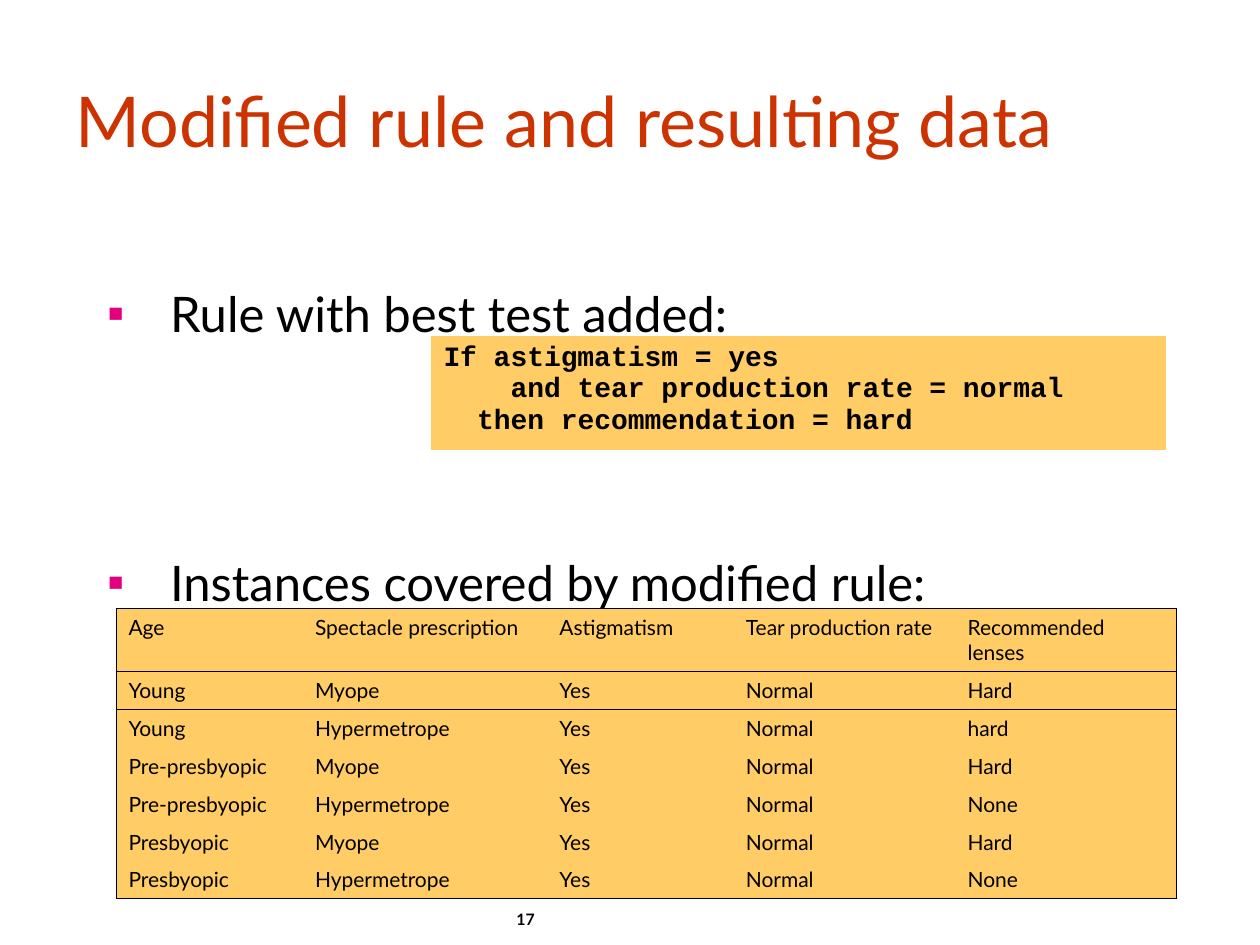
from lxml.etree import SubElement
from pptx import Presentation
from pptx.dml.color import RGBColor
from pptx.enum.text import MSO_ANCHOR, MSO_AUTO_SIZE, PP_ALIGN
from pptx.oxml.ns import qn
from pptx.util import Inches, Pt

TITLE = "Modified rule and resulting data"
POINTS = [("Rule with best test added:", 0), ("Instances covered by modified rule:", 120)]
RULE = [
    ("If astigmatism = yes", 0),
    ("and tear production rate = normal", 4),
    ("then recommendation = hard", 2),
]
INSTANCES = [
    ("Age", "Spectacle prescription", "Astigmatism", "Tear production rate", "Recommended lenses"),
    ("Young", "Myope", "Yes", "Normal", "Hard"),
    ("Young", "Hypermetrope", "Yes", "Normal", "hard"),
    ("Pre-presbyopic", "Myope", "Yes", "Normal", "Hard"),
    ("Pre-presbyopic", "Hypermetrope", "Yes", "Normal", "None"),
    ("Presbyopic", "Myope", "Yes", "Normal", "Hard"),
    ("Presbyopic", "Hypermetrope", "Yes", "Normal", "None"),
]
PAGE_NUMBER = "17"

RED = RGBColor(0xCC, 0x33, 0x00)
BLACK = RGBColor(0x00, 0x00, 0x00)
AMBER = RGBColor(0xFF, 0xCC, 0x66)
PINK = RGBColor(0xE2, 0x00, 0x7F)
SANS, MONO = "Lato", "Courier New"
CODE_SIZE = 16
CODE_CHAR = 0.6 * CODE_SIZE / 72
NO_STYLE = "{2D5ABB26-0587-4C30-8999-92F81FD0307C}"


def write(frame, text, size, font=SANS, color=BLACK, bold=False, first=True,
          before=0, spacing=1.0, indent=0, hanging=0, bullet=None):
    paragraph = frame.paragraphs[0] if first else frame.add_paragraph()
    paragraph.alignment = PP_ALIGN.LEFT
    paragraph.space_before = Pt(before)
    paragraph.line_spacing = spacing
    run = paragraph.add_run()
    run.text = text
    run.font.size, run.font.name, run.font.bold = Pt(size), font, bold
    run.font.color.rgb = color
    props = paragraph._p.get_or_add_pPr()
    props.set("marL", str(Inches(indent)))
    props.set("indent", str(Inches(-hanging)))
    if bullet:
        bullet_color = SubElement(props, qn("a:buClr"))
        SubElement(bullet_color, qn("a:srgbClr"), val=str(PINK))
        SubElement(props, qn("a:buChar"), char=bullet)


def place(shape, left, top, width, height):
    shape.left, shape.top = Inches(left), Inches(top)
    shape.width, shape.height = Inches(width), Inches(height)
    shape.text_frame.word_wrap = True
    shape.text_frame.auto_size = MSO_AUTO_SIZE.NONE
    return shape.text_frame


def add_plain_table(slide, left, top, widths, heights):
    table = slide.shapes.add_table(
        len(heights), len(widths), Inches(left), Inches(top),
        Inches(sum(widths)), Inches(sum(heights))).table
    table.first_row = table.horz_banding = False
    table._tbl.tblPr.find(qn("a:tableStyleId")).text = NO_STYLE
    for column, width in zip(table.columns, widths):
        column.width = Inches(width)
    for row, height in zip(table.rows, heights):
        row.height = Inches(height)
    return table


def fill_cell(cell, sides=()):
    props = cell._tc.get_or_add_tcPr()
    for side in sides:
        line = SubElement(props, qn(f"a:ln{side}"), w=str(Pt(0.45)))
        line_fill = SubElement(line, qn("a:solidFill"))
        SubElement(line_fill, qn("a:srgbClr"), val=str(BLACK))
    cell.fill.solid()
    cell.fill.fore_color.rgb = AMBER


def main():
    deck = Presentation()
    deck.slide_width, deck.slide_height = Inches(10), Inches(7.5)
    slide = deck.slides.add_slide(deck.slide_layouts[1])

    title = place(slide.shapes.title, 0.5, 0.25, 9.08, 1.5)
    title.vertical_anchor = MSO_ANCHOR.MIDDLE
    write(title, TITLE, 40, color=RED, spacing=0.85)

    body = place(slide.placeholders[1], 0.75, 2.2, 8.25, 4.28)
    for i, (point, gap) in enumerate(POINTS):
        write(body, point, 28, first=i == 0, before=gap,
              indent=0.5, hanging=0.5, bullet="▪")

    page = place(slide.shapes.add_textbox(0, 0, 0, 0), 4, 7.17, 1.02, 0.33)
    write(page, PAGE_NUMBER, 9, bold=True)

    last_row, last_col = len(INSTANCES) - 1, len(INSTANCES[0]) - 1
    instances = add_plain_table(slide, 0.92, 4.83, [1.48, 1.94, 1.48, 1.76, 1.76],
                                [0.5] + [0.3] * last_row)
    for r, record in enumerate(INSTANCES):
        for c, value in enumerate(record):
            edges = {"L": c == 0, "R": c == last_col, "T": r <= 1, "B": r in (0, last_row)}
            cell = instances.cell(r, c)
            fill_cell(cell, [side for side, drawn in edges.items() if drawn])
            write(cell.text_frame, value, 12)

    rule = add_plain_table(slide, 3.42, 2.67, [5.83], [0.9]).cell(0, 0)
    fill_cell(rule)
    for i, (line, depth) in enumerate(RULE):
        write(rule.text_frame, line, CODE_SIZE, font=MONO, bold=True,
              first=i == 0, indent=depth * CODE_CHAR)

    deck.save("out.pptx")


if __name__ == "__main__":
    main()
